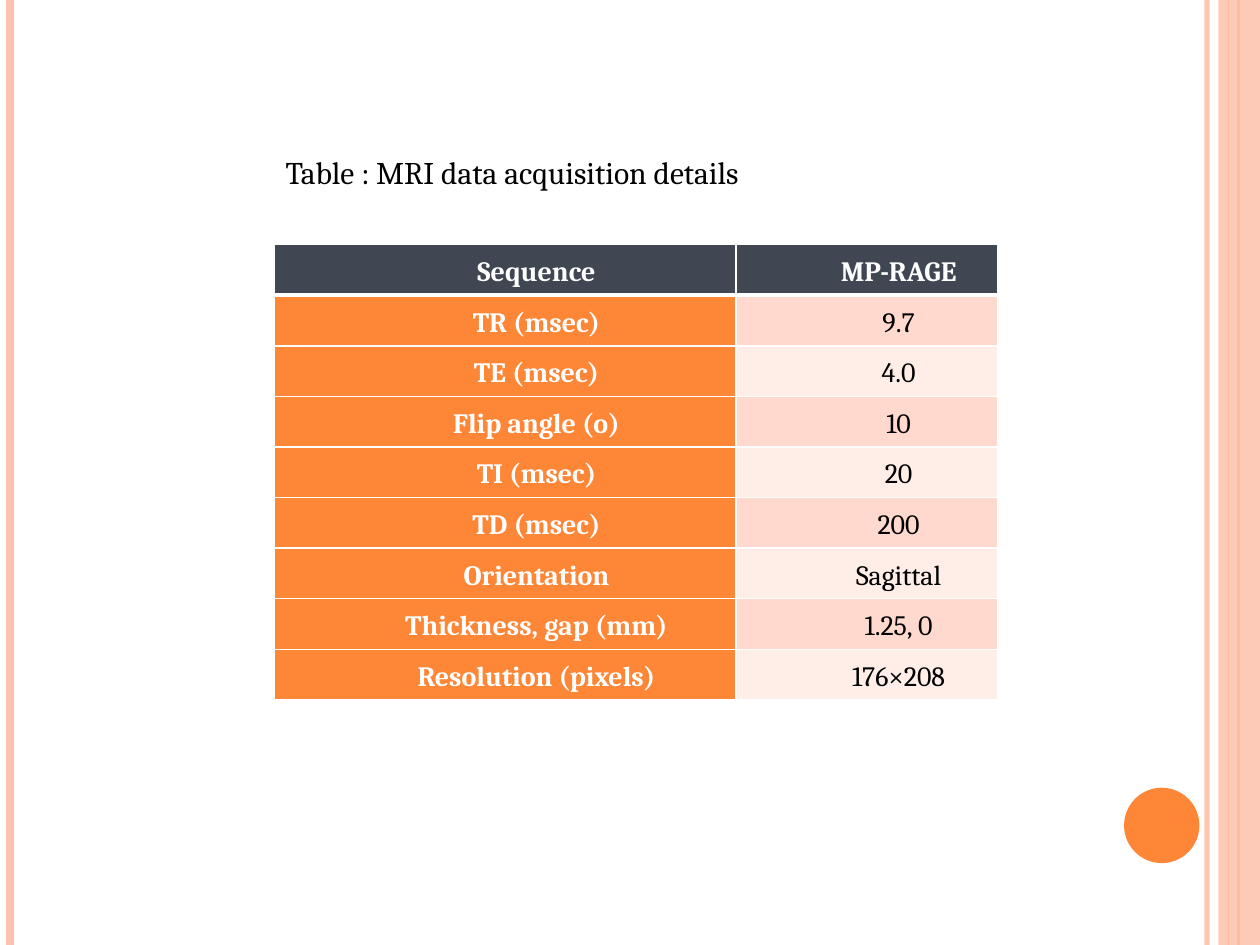
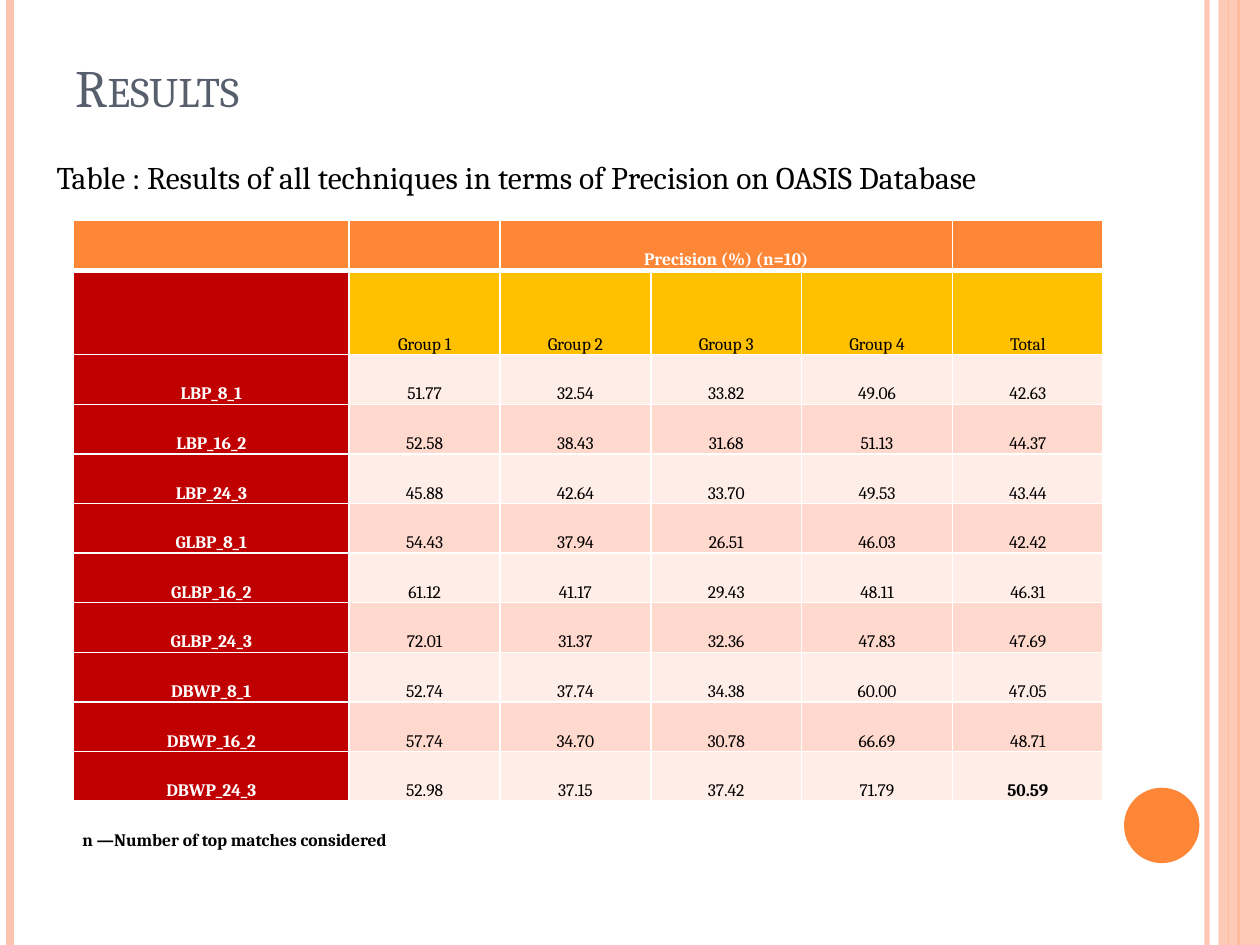
"""Build two slides of MRI acquisition details and retrieval results."""
from dataclasses import dataclass

from lxml import etree
from pptx import Presentation
from pptx.dml.color import RGBColor
from pptx.enum.shapes import MSO_CONNECTOR, MSO_SHAPE
from pptx.enum.text import MSO_ANCHOR, PP_ALIGN
from pptx.oxml.ns import qn
from pptx.util import Cm, Pt

STRAIGHT = MSO_CONNECTOR.STRAIGHT
RECT, OVAL = MSO_SHAPE.RECTANGLE, MSO_SHAPE.OVAL
MIDDLE, BOTTOM = MSO_ANCHOR.MIDDLE, MSO_ANCHOR.BOTTOM
LEFT, CENTER, JUSTIFY = PP_ALIGN.LEFT, PP_ALIGN.CENTER, PP_ALIGN.JUSTIFY
TITLE_ONLY, BLANK = 5, 6


@dataclass(frozen=True)
class Theme:
    font: str = "Cambria"
    orange: str = "FE8637"
    peach: str = "FEC3AE"
    band_dark: str = "FFD9CE"
    band_light: str = "FFEDE8"
    slate: str = "414752"
    title: str = "575F6D"
    red: str = "C00000"
    gold: str = "FFC000"
    white: str = "FFFFFF"
    black: str = "000000"
    title_size: int = 30
    caption_size: int = 18
    details_size: int = 16
    results_size: int = 10


T = Theme()
SLIDE_W, SLIDE_H = 25.4, 19.05

RULES = [
    (24.33, T.peach, 3, 93),
    (0.21, T.peach, 4.5, 100),
    (24.97, T.orange, 1.5, 100),
    (24.77, T.orange, 0.75, 100),
]

DETAILS_CAPTION = "Table : MRI data acquisition details"
DETAILS = [
    ("Sequence", "MP-RAGE"),
    ("TR (msec)", "9.7"),
    ("TE (msec)", "4.0"),
    ("Flip angle (o)", "10"),
    ("TI (msec)", "20"),
    ("TD (msec)", "200"),
    ("Orientation", "Sagittal"),
    ("Thickness, gap (mm)", "1.25, 0"),
    ("Resolution (pixels)", "176×208"),
]

RESULTS_TITLE = "Results"
RESULTS_CAPTION = "Table : Results of all techniques in terms of Precision on OASIS Database"
RESULTS = [
    ("", "", "Precision (%) (n=10)", "", "", ""),
    ("", "Group 1", "Group 2", "Group 3", "Group 4", "Total"),
    ("LBP_8_1", "51.77", "32.54", "33.82", "49.06", "42.63"),
    ("LBP_16_2", "52.58", "38.43", "31.68", "51.13", "44.37"),
    ("LBP_24_3", "45.88", "42.64", "33.70", "49.53", "43.44"),
    ("GLBP_8_1", "54.43", "37.94", "26.51", "46.03", "42.42"),
    ("GLBP_16_2", "61.12", "41.17", "29.43", "48.11", "46.31"),
    ("GLBP_24_3", "72.01", "31.37", "32.36", "47.83", "47.69"),
    ("DBWP_8_1", "52.74", "37.74", "34.38", "60.00", "47.05"),
    ("DBWP_16_2", "57.74", "34.70", "30.78", "66.69", "48.71"),
    ("DBWP_24_3", "52.98", "37.15", "37.42", "71.79", "50.59"),
    ("n —Number of top matches considered", "", "", "", "", ""),
]
NOTE_ROW = len(RESULTS) - 1
BEST = (NOTE_ROW - 1, 5)


def rgb(value):
    return RGBColor.from_string(value)


def style(p, size, color, bold=False, align=LEFT):
    p.alignment = align
    for r in p.runs:
        r.font.name, r.font.size, r.font.bold = T.font, Pt(size), bold
        r.font.color.rgb = rgb(color)


def set_alpha(shape, percent):
    color = shape.element.spPr.find(".//" + qn("a:srgbClr"))
    etree.SubElement(color, qn("a:alpha"), val=str(percent * 1000))


def add_block(s, kind, box, color):
    shape = s.shapes.add_shape(kind, *map(Cm, box))
    shape.shadow.inherit = False
    shape.fill.solid()
    shape.fill.fore_color.rgb = rgb(color)
    shape.line.fill.background()
    return shape


def add_frame(s):
    for x, color, width, alpha in RULES:
        rule = s.shapes.add_connector(STRAIGHT, Cm(x), 0, Cm(x), Cm(SLIDE_H))
        rule.line.color.rgb = rgb(color)
        rule.line.width = Pt(width)
        etree.SubElement(rule.element.spPr, qn("a:effectLst"))
        if alpha < 100:
            set_alpha(rule, alpha)
    set_alpha(add_block(s, RECT, (24.56, 0, 0.84, SLIDE_H), T.peach), 87)
    add_block(s, OVAL, (22.66, 15.88, 1.52, 1.52), T.orange)


def add_title(s, text):
    title = s.shapes.title
    title.left, title.top, title.width, title.height = map(Cm, (1.27, 0.76, 20.75, 1.75))
    tf = title.text_frame
    tf.text = text
    tf.vertical_anchor = BOTTOM
    p = tf.paragraphs[0]
    style(p, T.title_size, T.title)
    p.runs[0].font.element.set("cap", "small") if hasattr(p.runs[0].font, "element") else \
        p.runs[0]._r.get_or_add_rPr().set("cap", "small")


def add_caption(s, text, box):
    tf = s.shapes.add_textbox(*map(Cm, box)).text_frame
    tf.word_wrap = True
    tf.text = text
    style(tf.paragraphs[0], T.caption_size, T.black)


def set_borders(cell, top, bottom):
    tc_pr = cell._tc.get_or_add_tcPr()
    for i, (side, width) in enumerate(zip("LRTB", (1, 1, top, bottom))):
        ln = etree.Element(qn(f"a:ln{side}"), w=str(Pt(width)))
        fill = etree.SubElement(ln, qn("a:solidFill"))
        etree.SubElement(fill, qn("a:srgbClr"), val=T.white)
        tc_pr.insert(i, ln)


def add_table(s, rows, origin, widths, heights, size, anchor, look, indent=0):
    """Look maps a row and column to fill, text colour, bold and alignment."""
    box = (*origin, sum(widths), sum(heights))
    table = s.shapes.add_table(len(rows), len(widths), *map(Cm, box)).table
    for column, width in zip(table.columns, widths):
        column.width = Cm(width)
    for row, height in zip(table.rows, heights):
        row.height = Cm(height)
    for i, texts in enumerate(rows):
        for j, text in enumerate(texts):
            cell = table.cell(i, j)
            fill, color, bold, align = look(i, j)
            cell.fill.solid()
            cell.fill.fore_color.rgb = rgb(fill)
            cell.vertical_anchor = anchor
            cell.margin_left = cell.margin_right = Cm(0.18)
            cell.margin_top = cell.margin_bottom = 0
            set_borders(cell, 3 if i == 1 else 1, 3 if i == 0 else 1)
            if text:
                cell.text_frame.text = text
                p = cell.text_frame.paragraphs[0]
                p.line_spacing = 1.15
                style(p, size, color, bold, align)
                p._p.get_or_add_pPr().set("marL", str(Cm(indent)))
    return table


def band(i):
    return T.band_dark if i % 2 else T.band_light


def details_look(i, j):
    if i == 0:
        return T.slate, T.white, True, CENTER
    if j == 0:
        return T.orange, T.white, True, CENTER
    return band(i), T.black, False, CENTER


def results_look(i, j):
    if i == 0:
        return T.orange, T.white, True, CENTER
    if i == NOTE_ROW:
        return T.white, T.black, True, JUSTIFY
    if j == 0:
        return T.red, T.white, True, CENTER
    if i == 1:
        return T.gold, T.black, False, CENTER
    return band(i), T.black, (i, j) == BEST, CENTER


def build_details(prs):
    s = prs.slides.add_slide(prs.slide_layouts[BLANK])
    add_frame(s)
    add_caption(s, DETAILS_CAPTION, (5.51, 2.97, 11.68, 1.02))
    add_table(s, DETAILS, (5.52, 4.93), [9.32, 5.28], [1.02] * len(DETAILS),
              T.details_size, MIDDLE, details_look, indent=1.27)


def build_results(prs):
    s = prs.slides.add_slide(prs.slide_layouts[TITLE_ONLY])
    add_frame(s)
    add_title(s, RESULTS_TITLE)
    add_caption(s, RESULTS_CAPTION, (0.89, 3.07, 23.01, 1.02))
    heights = [1.7 if i == 1 else 1 for i in range(len(RESULTS))]
    table = add_table(s, RESULTS, (1.48, 4.45), [5.56] + [3.04] * 5, heights,
                      T.results_size, BOTTOM, results_look)
    table.cell(0, 2).merge(table.cell(0, 4))
    table.cell(NOTE_ROW, 0).merge(table.cell(NOTE_ROW, 5))


def main():
    prs = Presentation()
    prs.slide_width, prs.slide_height = Cm(SLIDE_W), Cm(SLIDE_H)
    build_details(prs)
    build_results(prs)
    prs.save("out.pptx")


if __name__ == "__main__":
    main()
